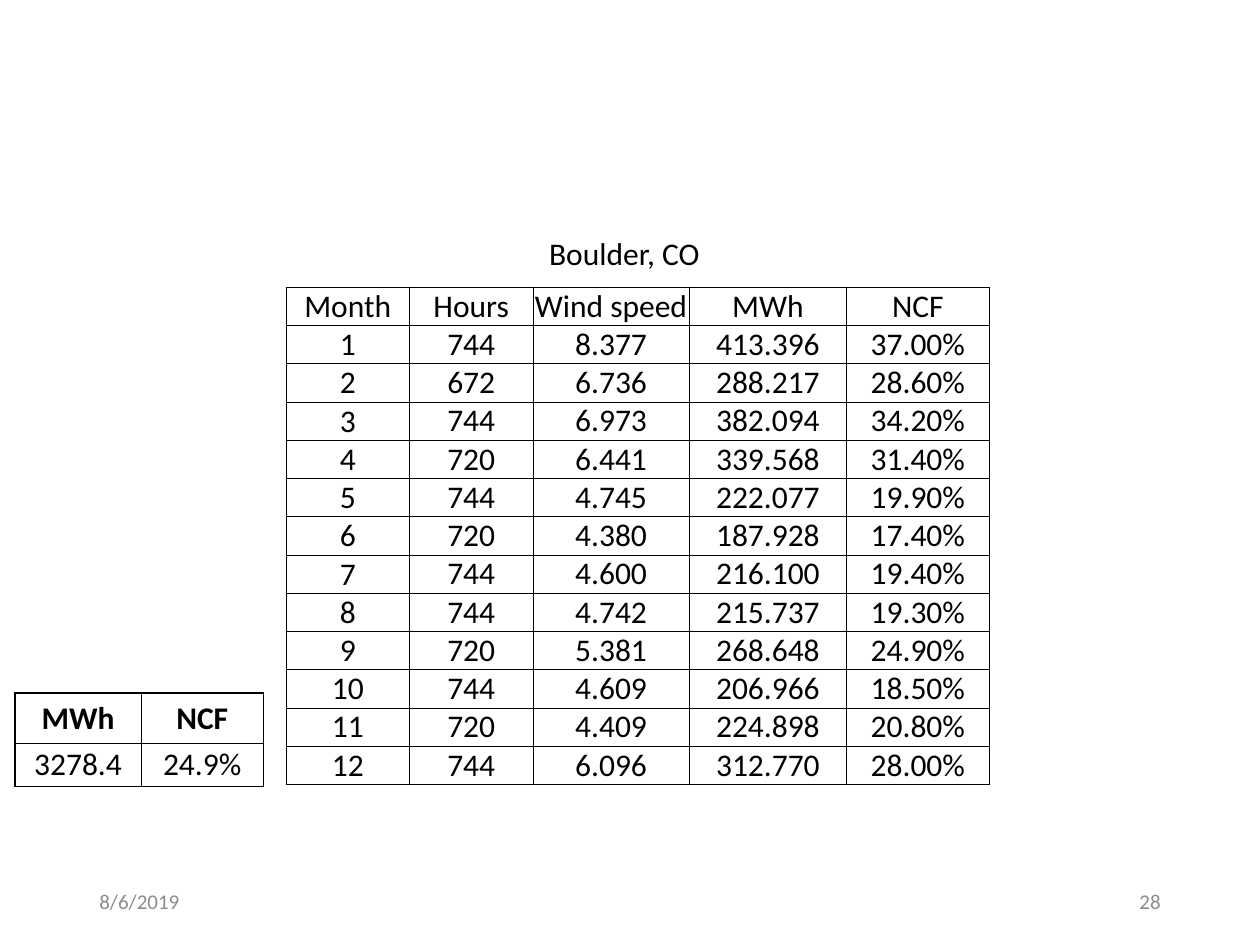
from dataclasses import dataclass
from lxml.etree import SubElement
from pptx import Presentation
from pptx.dml.color import RGBColor
from pptx.enum.text import MSO_ANCHOR, PP_ALIGN
from pptx.oxml.ns import qn
from pptx.util import Inches, Pt


@dataclass(frozen=True)
class Theme:
    font: str = "Calibri"
    ink: str = "000000"
    muted: str = "8C8C8C"
    body_size: int = 18
    footer_size: int = 12
    thin: float = 0.5
    thick: float = 1


THEME = Theme()

MONTHLY = [
    ("Month", "Hours", "Wind speed", "MWh", "NCF"),
    ("1", "744", "8.377", "413.396", "37.00%"),
    ("2", "672", "6.736", "288.217", "28.60%"),
    ("3", "744", "6.973", "382.094", "34.20%"),
    ("4", "720", "6.441", "339.568", "31.40%"),
    ("5", "744", "4.745", "222.077", "19.90%"),
    ("6", "720", "4.380", "187.928", "17.40%"),
    ("7", "744", "4.600", "216.100", "19.40%"),
    ("8", "744", "4.742", "215.737", "19.30%"),
    ("9", "720", "5.381", "268.648", "24.90%"),
    ("10", "744", "4.609", "206.966", "18.50%"),
    ("11", "720", "4.409", "224.898", "20.80%"),
    ("12", "744", "6.096", "312.770", "28.00%"),
]
ANNUAL = [("MWh", "NCF"), ("3278.4", "24.9%")]


def style_paragraph(paragraph, size, color, align, bold=False):
    paragraph.alignment = align
    font = paragraph.font
    font.name = THEME.font
    font.size = Pt(size)
    font.bold = bold
    font.color.rgb = RGBColor.from_string(color)


def add_text(slide, box, text, size, color, align=PP_ALIGN.LEFT,
             anchor=MSO_ANCHOR.MIDDLE, wrap=True):
    shape = slide.shapes.add_textbox(*map(Inches, box))
    frame = shape.text_frame
    frame.word_wrap = wrap
    frame.vertical_anchor = anchor
    frame.text = text
    style_paragraph(frame.paragraphs[0], size, color, align)


def set_borders(cell, widths):
    properties = cell._tc.get_or_add_tcPr()
    for position, (side, width) in enumerate(widths.items()):
        line = properties.makeelement(qn(f"a:{side}"), {"w": str(Pt(width))})
        fill = SubElement(line, qn("a:solidFill"))
        SubElement(fill, qn("a:srgbClr"), val=THEME.ink)
        properties.insert(position, line)


def add_grid(slide, box, rows, column_widths, row_heights, outer, inner,
             insets, bold_header=False):
    table = slide.shapes.add_table(
        len(rows), len(column_widths), *map(Inches, box)).table
    table.first_row = False
    table.horz_banding = False
    for column, width in zip(table.columns, column_widths):
        column.width = Inches(width)
    for row, height in zip(table.rows, row_heights):
        row.height = Inches(height)
    last = len(column_widths) - 1
    for r, values in enumerate(rows):
        horizontal, vertical = insets[min(r, len(insets) - 1)]
        for c, value in enumerate(values):
            cell = table.cell(r, c)
            cell.text = value
            cell.margin_left = cell.margin_right = Inches(horizontal)
            cell.margin_top = cell.margin_bottom = Inches(vertical)
            cell.vertical_anchor = MSO_ANCHOR.MIDDLE if r == 0 or c == 0 else MSO_ANCHOR.BOTTOM
            cell.fill.background()
            style_paragraph(cell.text_frame.paragraphs[0], THEME.body_size,
                            THEME.ink, PP_ALIGN.CENTER, bold_header and r == 0)
            set_borders(cell, {
                "lnL": outer if c == 0 else inner,
                "lnR": outer if c == last else inner,
                "lnT": outer,
                "lnB": outer,
            })


def add_monthly_table(slide, left, top, width, height):
    add_text(slide, (left + 1.99, top - 0.47, 1.41, 0.4), "Boulder, CO",
             THEME.body_size, THEME.ink, anchor=MSO_ANCHOR.TOP, wrap=False)
    add_grid(slide, (left, top, width, height), MONTHLY,
             [0.98, 0.98, 1.24, 1.25, 1.13],
             [height / len(MONTHLY)] * len(MONTHLY),
             THEME.thin, THEME.thin, [(0, 0)])


def add_annual_table(slide, left, top, width, height):
    add_grid(slide, (left, top, width, height), ANNUAL,
             [width - 0.97, 0.97], [0.4, height - 0.4],
             THEME.thick, THEME.thin, [(0.02, 0.05), (0.02, 0.02)],
             bold_header=True)


def add_footer(slide, left, top, width, height):
    part_width = 2.25
    parts = [
        (left, "8/6/2019", PP_ALIGN.LEFT),
        (left + width - part_width, "28", PP_ALIGN.RIGHT),
    ]
    for part_left, text, align in parts:
        add_text(slide, (part_left, top, part_width, height), text,
                 THEME.footer_size, THEME.muted, align)


presentation = Presentation()
presentation.slide_width = Inches(10)
presentation.slide_height = Inches(7.5)
slide = presentation.slides.add_slide(presentation.slide_layouts[6])
add_monthly_table(slide, 2.27, 2.28, 5.58, 3.95)
add_annual_table(slide, 0.12, 5.5, 1.97, 0.73)
add_footer(slide, 0.69, 6.95, 8.62, 0.4)
presentation.save("out.pptx")
